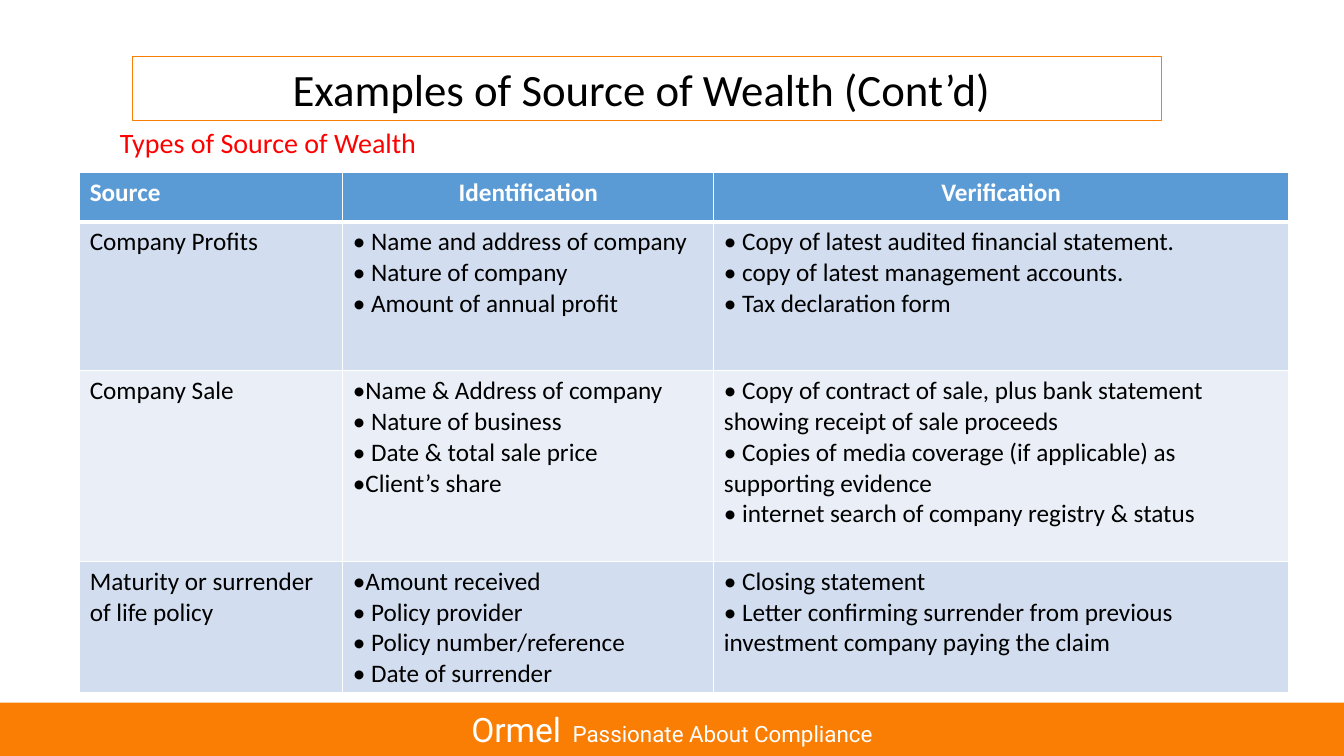
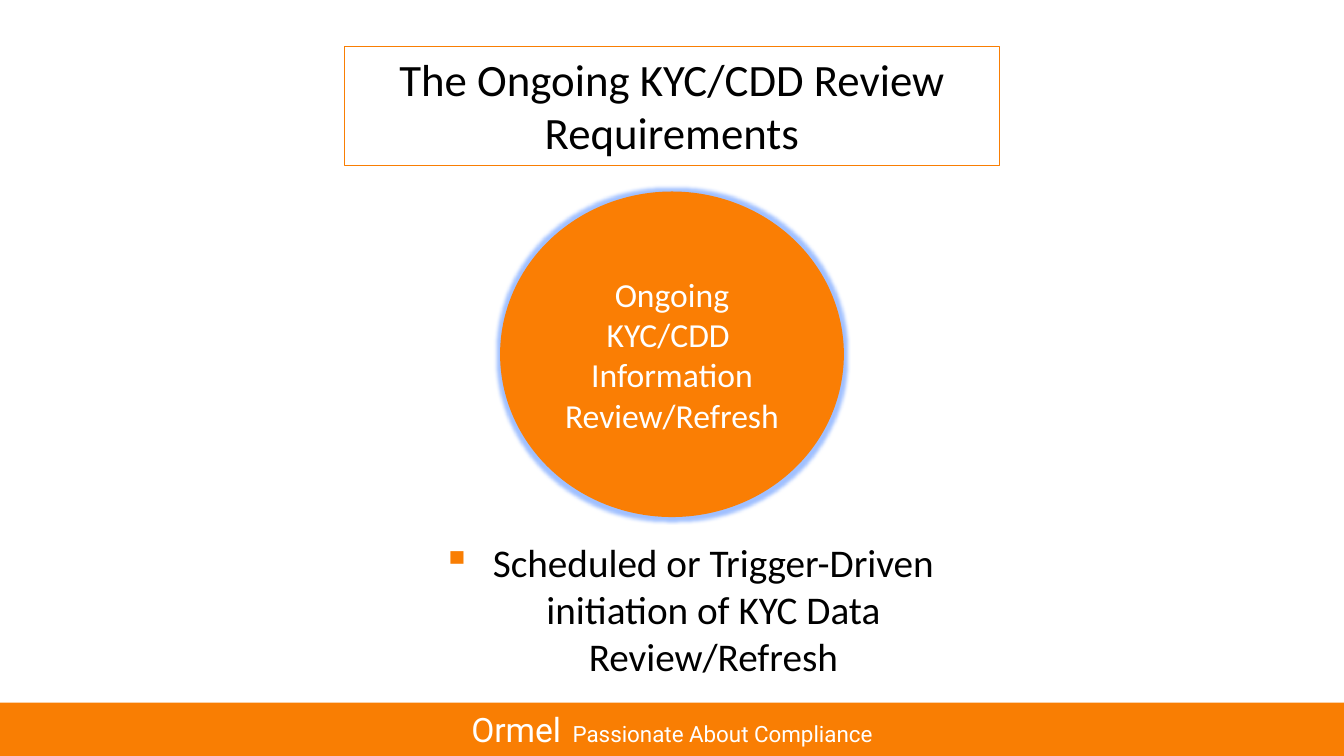
import pptx
import pptx.dml.color
import pptx.enum.shapes
import pptx.enum.text
import pptx.oxml
import pptx.oxml.ns
import pptx.util
from dataclasses import dataclass

Inches = pptx.util.Inches
Shape = pptx.enum.shapes.MSO_SHAPE
Align = pptx.enum.text.PP_ALIGN
Anchor = pptx.enum.text.MSO_ANCHOR
Fit = pptx.enum.text.MSO_AUTO_SIZE


@dataclass(frozen=True)
class Theme:
    """Colours, fonts and type sizes of the deck."""
    accent: str = "F97E03"
    circle: str = "FA7E04"
    glow: str = "A0C0FF"
    white: str = "FFFFFF"
    black: str = "000000"
    red: str = "FF0000"
    header: str = "5B9BD5"
    bands: tuple = ("D2DEEF", "EAEFF7")
    body_font: str = "Calibri"
    footer_font: str = "Roboto"
    title_size: int = 32
    point_size: int = 28
    circle_size: int = 24
    subtitle_size: int = 20
    table_size: int = 18
    brand_size: int = 24
    slogan_size: int = 16


THEME = Theme()
WIDTH, HEIGHT = 13.33, 7.5
FOOTER_BOX = (0, 6.97, WIDTH, 0.53)
COLUMNS = (2.61, 3.68, 5.7)
ROWS = (0.49, 1.48, 1.89, 1.3)
HEADINGS = ("Source", "Identification", "Verification")
SOURCES = (
    (("Company Profits",),
     ("• Name and address of company",
      "• Nature of company",
      "• Amount of annual profit"),
     ("• Copy of latest audited financial statement.",
      "• copy of latest management accounts.",
      "• Tax declaration form")),
    (("Company Sale",),
     ("•Name & Address of company",
      "• Nature of business",
      "• Date & total sale price",
      "•Client’s share"),
     ("• Copy of contract of sale, plus bank statement showing receipt of sale proceeds",
      "• Copies of media coverage (if applicable) as supporting evidence",
      "• internet search of company registry & status")),
    (("Maturity or surrender of life policy",),
     ("•Amount received",
      "• Policy provider",
      "• Policy number/reference",
      "• Date of surrender"),
     ("• Closing statement",
      "• Letter confirming surrender from previous investment company paying the claim")),
)


def rgb(value):
    """Return a colour object for a hex value."""
    return pptx.dml.color.RGBColor.from_string(value)


def parse_xml(tag, attributes="", inner=""):
    """Return a drawing element with the given attributes and content."""
    namespace = pptx.oxml.ns.nsdecls("a")
    return pptx.oxml.parse_xml(f"<a:{tag} {namespace} {attributes}>{inner}</a:{tag}>")


def color_xml(value):
    """Return the markup of a solid colour."""
    return f'<a:srgbClr val="{value}"/>'


def add_span(para, text, size, color, font=THEME.body_font, bold=False):
    """Add a formatted run to a paragraph."""
    span = para.add_run()
    span.text = text
    formats = {"name": font, "size": pptx.util.Pt(size), "bold": bold}
    for name, value in formats.items():
        setattr(span.font, name, value)
    span.font.color.rgb = rgb(color)


def set_frame(box, **formats):
    """Set text frame formats and return its first paragraph."""
    for name, value in {"word_wrap": True, **formats}.items():
        setattr(box.text_frame, name, value)
    return box.text_frame.paragraphs[0]


def add_box(page, kind, area, fill=None, line=None):
    """Add a flat preset shape with an optional fill and outline."""
    box = page.shapes.add_shape(kind, *map(Inches, area))
    box.shadow.inherit = False
    for target, color in ((box.fill, fill), (box.line.fill, line)):
        if color:
            target.solid()
            target.fore_color.rgb = rgb(color)
        else:
            target.background()
    if line:
        box.line.width = pptx.util.Pt(0.75)
    return box


def add_footer(page, area):
    """Add the coloured band with the firm's name and slogan."""
    box = add_box(page, Shape.RECTANGLE, area, fill=THEME.accent)
    para = set_frame(box, vertical_anchor=Anchor.MIDDLE)
    para.alignment = Align.CENTER
    add_span(para, "Ormel", THEME.brand_size, THEME.white, THEME.footer_font)
    add_span(para, "  ", THEME.table_size, THEME.white)
    add_span(para, "Passionate About Compliance", THEME.slogan_size, THEME.white,
             THEME.footer_font)


def add_title(page, area, text):
    """Add the outlined title box."""
    box = add_box(page, Shape.RECTANGLE, area, line=THEME.accent)
    para = set_frame(box, vertical_anchor=Anchor.TOP, auto_size=Fit.SHAPE_TO_FIT_TEXT)
    para.alignment = Align.CENTER
    add_span(para, text, THEME.title_size, THEME.black)


def add_page(deck, title_area, title):
    """Add a blank page with the shared footer and title."""
    page = deck.slides.add_slide(deck.slide_layouts[6])
    add_footer(page, FOOTER_BOX)
    add_title(page, title_area, title)
    return page


def add_subtitle(page, area, text):
    """Add the red line above the table."""
    box = page.shapes.add_textbox(*map(Inches, area))
    para = set_frame(box, auto_size=Fit.SHAPE_TO_FIT_TEXT)
    add_span(para, text, THEME.subtitle_size, THEME.red)


def fill_cell(cell, lines, fill, color, bold=False, alignment=Align.LEFT, top=1, bottom=1):
    """Write a table cell and set its borders and fill."""
    properties = cell._tc.get_or_add_tcPr()
    for side, width in {"L": 1, "R": 1, "T": top, "B": bottom}.items():
        inner = f"<a:solidFill>{color_xml(THEME.white)}</a:solidFill>"
        properties.append(parse_xml(f"ln{side}", f'w="{pptx.util.Pt(width)}"', inner))
    cell.fill.solid()
    cell.fill.fore_color.rgb = rgb(fill)
    for index, line in enumerate(lines):
        frame = cell.text_frame
        para = frame.add_paragraph() if index else frame.paragraphs[0]
        para.alignment = alignment
        add_span(para, line, THEME.table_size, color, bold=bold)


def add_source_table(page, left, top):
    """Add the table of sources with a header and banded rows."""
    area = (left, top, sum(COLUMNS), sum(ROWS))
    table = page.shapes.add_table(len(ROWS), len(COLUMNS), *map(Inches, area)).table
    table.first_row = table.horz_banding = False
    for column, width in zip(table.columns, COLUMNS):
        column.width = Inches(width)
    for row, height in zip(table.rows, ROWS):
        row.height = Inches(height)
    for index, heading in enumerate(HEADINGS):
        alignment = Align.CENTER if index else Align.LEFT
        fill_cell(table.cell(0, index), (heading,), THEME.header, THEME.white,
                  bold=True, alignment=alignment, bottom=3)
    for row, source in enumerate(SOURCES):
        for column, lines in enumerate(source):
            fill_cell(table.cell(row + 1, column), lines, THEME.bands[row % 2],
                      THEME.black, top=1 if row else 3)


def add_review_circle(page, area, text):
    """Add the glowing circle with its centred label."""
    box = add_box(page, Shape.OVAL, area, fill=THEME.circle)
    effects = box._element.spPr.find(pptx.oxml.ns.qn("a:effectLst"))
    effects.append(parse_xml("glow", f'rad="{Inches(0.07)}"', color_xml(THEME.glow)))
    para = set_frame(box, vertical_anchor=Anchor.MIDDLE)
    para.alignment = Align.CENTER
    add_span(para, text, THEME.circle_size, THEME.white)


def add_point(page, area, text):
    """Add the centred statement with a square bullet."""
    box = page.shapes.add_textbox(*map(Inches, area))
    para = set_frame(box, auto_size=Fit.SHAPE_TO_FIT_TEXT)
    para.alignment = Align.CENTER
    properties = para._p.get_or_add_pPr()
    for name, value in {"marL": Inches(0.5), "indent": Inches(-0.5)}.items():
        properties.set(name, str(value))
    properties.append(parse_xml("buClr", inner=color_xml(THEME.accent)))
    properties.append(parse_xml("buChar", 'char="▪"'))
    add_span(para, text, THEME.point_size, THEME.black)


def build_sources(deck):
    """Build the slide with the table of wealth sources."""
    page = add_page(deck, (1.31, 0.56, 10.21, 0.64), "Examples of Source of Wealth (Cont’d) ")
    add_subtitle(page, (1.09, 1.2, 5.87, 0.44), "Types of Source of Wealth")
    add_source_table(page, 0.79, 1.71)


def build_review(deck):
    """Build the slide about the ongoing review."""
    page = add_page(deck, (3.42, 0.46, 6.49, 1.18), "The Ongoing KYC/CDD Review Requirements")
    add_review_circle(page, (4.96, 1.9, 3.41, 3.23),
                      "Ongoing KYC/CDD  Information Review/Refresh")
    add_point(page, (3.58, 5.29, 6.49, 1.04),
              "Scheduled or Trigger-Driven initiation of KYC Data Review/Refresh")


def main():
    """Build and save the deck."""
    deck = pptx.Presentation()
    deck.slide_width, deck.slide_height = Inches(WIDTH), Inches(HEIGHT)
    build_sources(deck)
    build_review(deck)
    deck.save("out.pptx")


if __name__ == "__main__":
    main()
